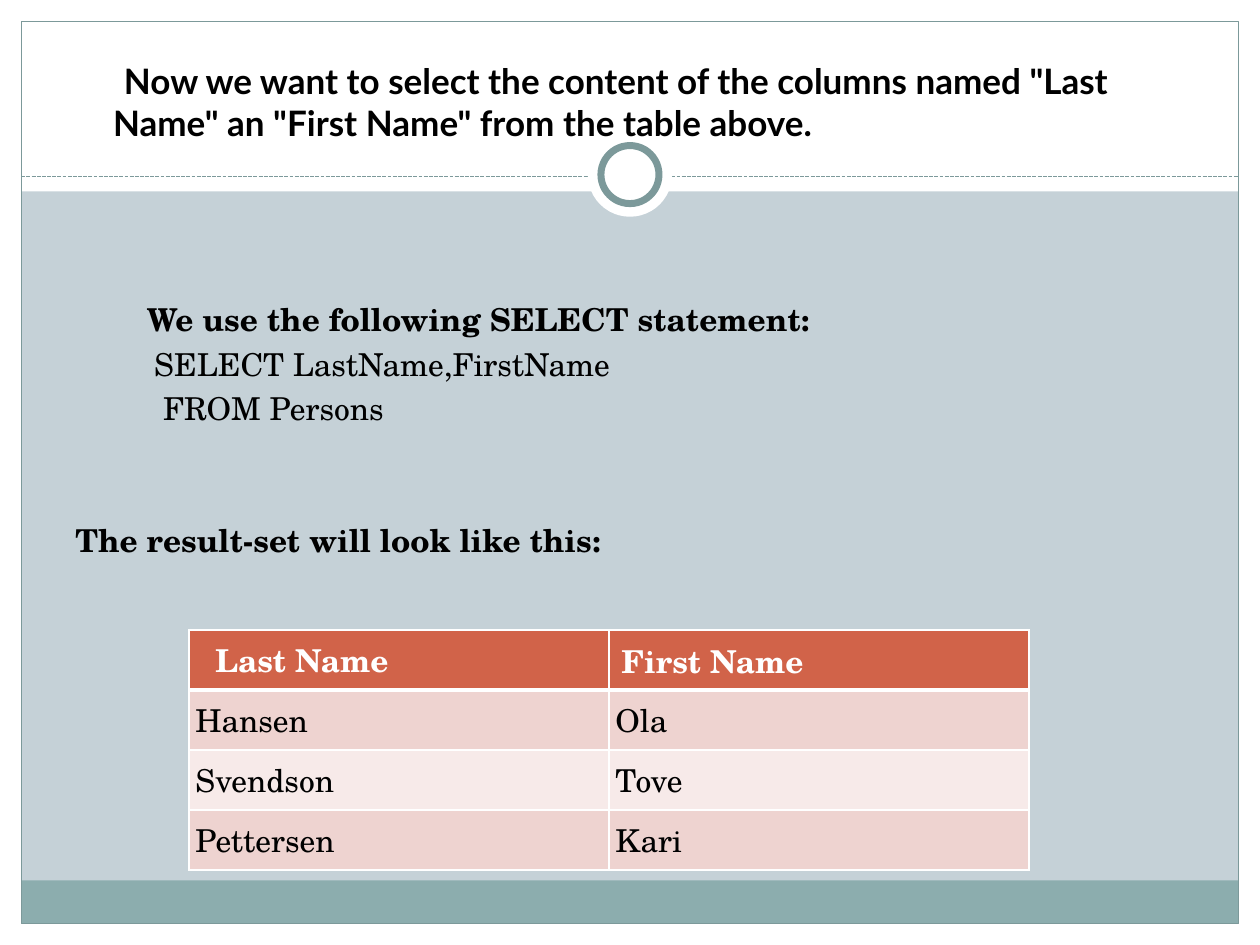
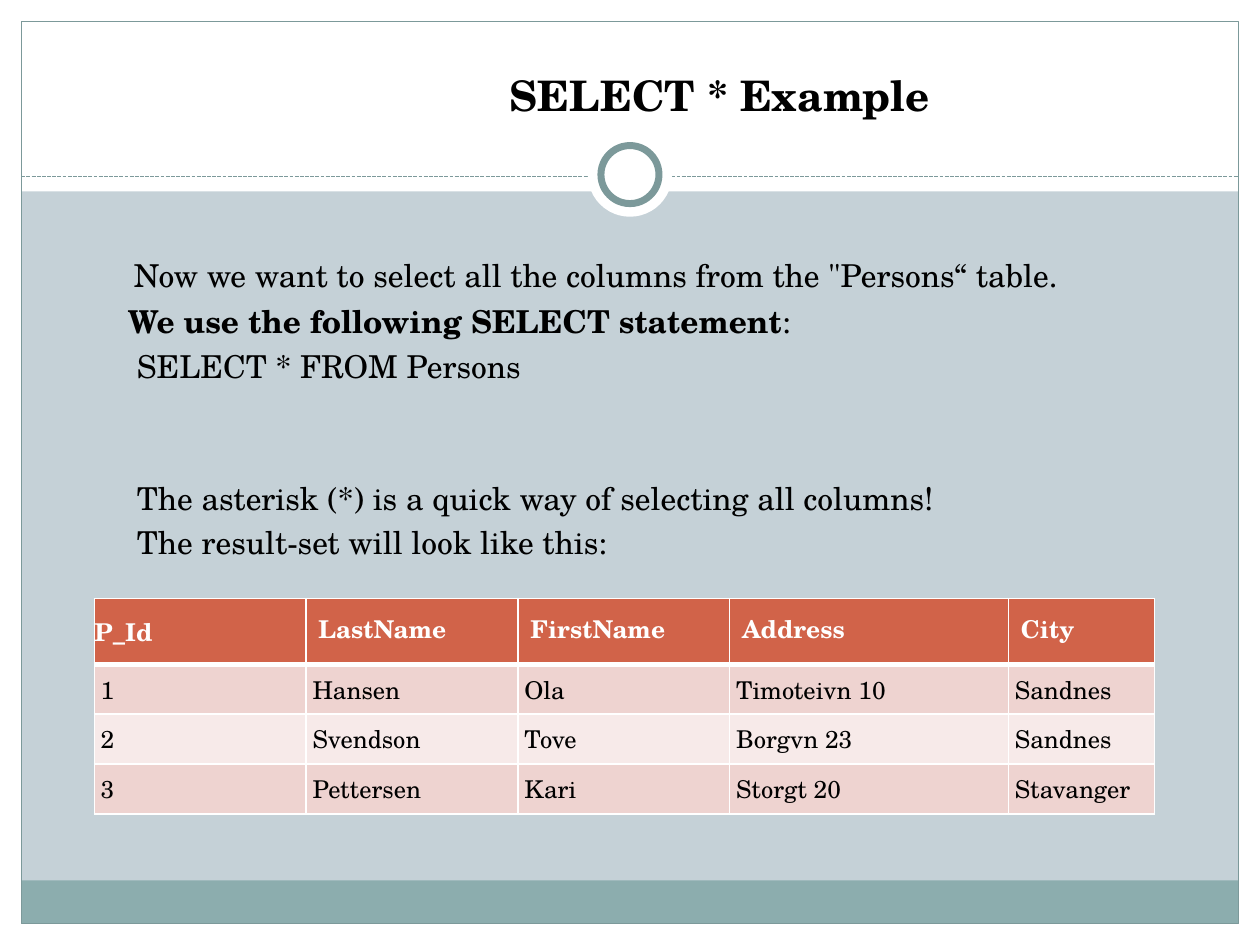
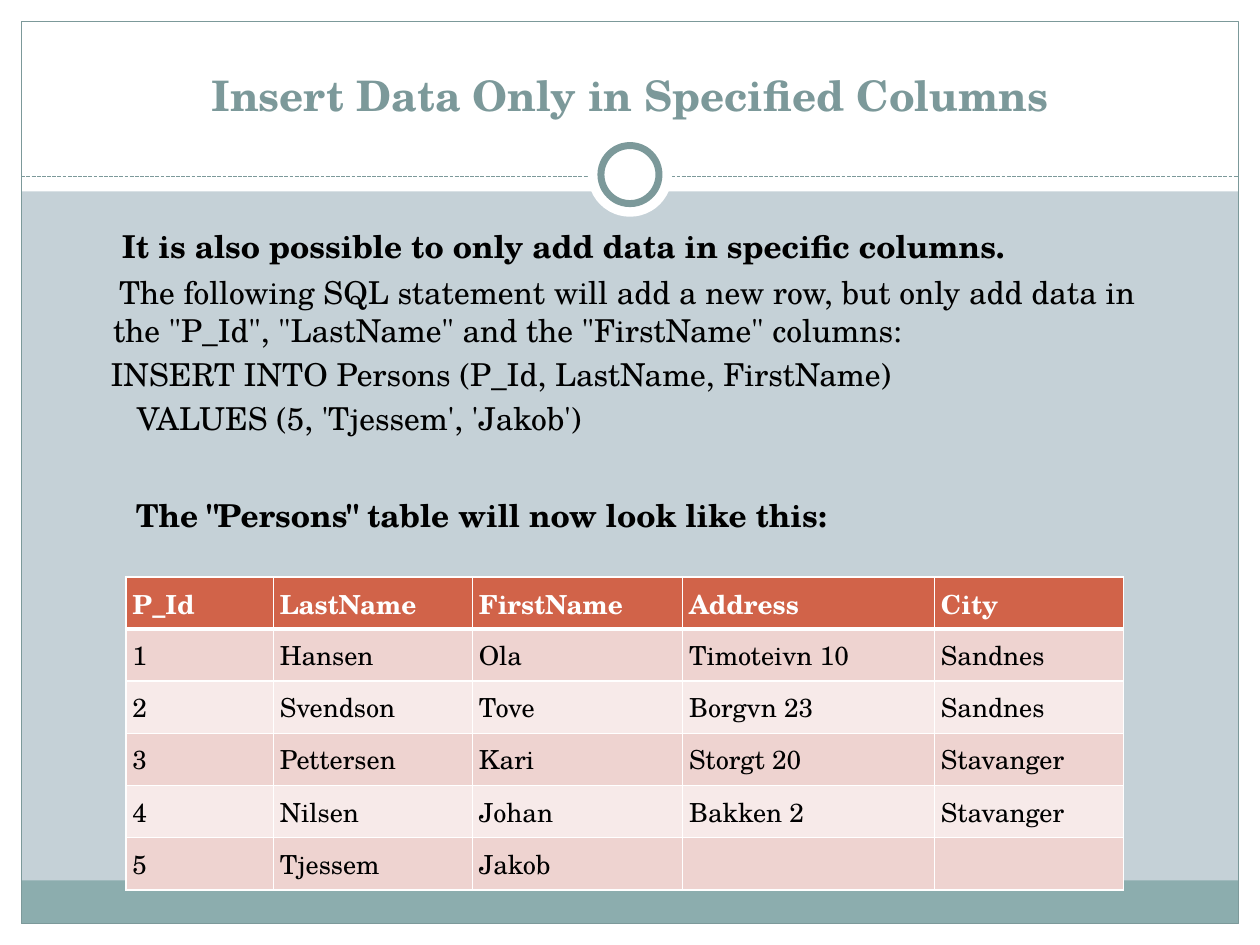
from dataclasses import dataclass

from lxml import etree
from pptx import Presentation
from pptx.dml.color import RGBColor
from pptx.enum.dml import MSO_LINE
from pptx.enum.shapes import MSO_CONNECTOR, MSO_SHAPE
from pptx.enum.text import MSO_ANCHOR, PP_ALIGN
from pptx.oxml.ns import qn
from pptx.util import Cm, Pt

RECT, OVAL = MSO_SHAPE.RECTANGLE, MSO_SHAPE.OVAL
STRAIGHT, DASH = MSO_CONNECTOR.STRAIGHT, MSO_LINE.SQUARE_DOT
TOP, MIDDLE = MSO_ANCHOR.TOP, MSO_ANCHOR.MIDDLE
LEFT, CENTER = PP_ALIGN.LEFT, PP_ALIGN.CENTER


@dataclass(frozen=True)
class Theme:
    paper: str = "C5D1D7"
    white: str = "FFFFFF"
    ink: str = "000000"
    accent: str = "7C999A"
    footer: str = "8CADAE"
    header_row: str = "D16349"
    odd_row: str = "EED3D0"
    even_row: str = "F7EAE9"
    serif: str = "TeX Gyre Schola"
    sans: str = "Lato"
    title_size: float = 24
    lead_size: float = 20
    body_size: float = 18
    hairline: float = 0.75
    ring_line: float = 4
    grid_line: float = 1
    header_line: float = 3


@dataclass(frozen=True)
class Box:
    """A region in centimetres."""
    left: float
    top: float
    width: float
    height: float


@dataclass(frozen=True)
class Line:
    """A paragraph: (text, bold) runs, indents in cm, space before in points."""
    runs: tuple
    first: float = 0
    rest: float = 0.76
    gap: float = 3.6


@dataclass(frozen=True)
class HeaderCell:
    left: float = 0.13
    top: float = 0.13
    anchor: int = MIDDLE


THEME = Theme()
PAGE = Box(0, 0, 25.4, 19.05)
MARGIN = 0.43
TEXT_LEFT, TEXT_WIDTH = 1.52, 22.36
CELL_INSET = 0.13

COLUMNS = ("P_Id", "LastName", "FirstName", "Address", "City")
PERSONS = (
    ("1", "Hansen", "Ola", "Timoteivn 10", "Sandnes"),
    ("2", "Svendson", "Tove", "Borgvn 23", "Sandnes"),
    ("3", "Pettersen", "Kari", "Storgt 20", "Stavanger"),
    ("4", "Nilsen", "Johan", "Bakken 2", "Stavanger"),
    ("5", "Tjessem", "Jakob", "", ""),
)


def rgb(code):
    return RGBColor.from_string(code)


def add_run(paragraph, text, size, color=THEME.ink, bold=False, face=THEME.serif):
    run = paragraph.add_run()
    run.text = text
    run.font.name, run.font.size, run.font.bold = face, Pt(size), bold
    run.font.color.rgb = rgb(color)


def add_panel(slide, kind, box, fill=None, line=None, weight=THEME.hairline):
    panel = slide.shapes.add_shape(
        kind, Cm(box.left), Cm(box.top), Cm(box.width), Cm(box.height))
    panel.shadow.inherit = False
    if fill:
        panel.fill.solid()
        panel.fill.fore_color.rgb = rgb(fill)
    else:
        panel.fill.background()
    if line:
        panel.line.color.rgb = rgb(line)
        panel.line.width = Pt(weight)
    else:
        panel.line.fill.background()


def add_divider(slide, box, y):
    divider = slide.shapes.add_connector(
        STRAIGHT, Cm(box.left), Cm(y), Cm(box.left + box.width), Cm(y))
    divider.line.color.rgb = rgb(THEME.accent)
    divider.line.width = Pt(THEME.hairline)
    divider.line.dash_style = DASH
    etree.SubElement(divider._element.spPr, qn("a:effectLst"))


def add_frame(slide, page):
    """White margins, title band, footer band, border and ring."""
    inner = Box(page.left + MARGIN, page.top + MARGIN,
                page.width - 2 * MARGIN, page.height - 2 * MARGIN)
    right, bottom = inner.left + inner.width, inner.top + inner.height
    for margin in (Box(page.left, bottom, page.width, MARGIN),
                   Box(page.left, page.top, page.width, 3.86),
                   Box(page.left, page.top, MARGIN, page.height),
                   Box(right, page.top, MARGIN, page.height)):
        add_panel(slide, RECT, margin, THEME.white)
    add_panel(slide, RECT, Box(inner.left, bottom - 0.87, inner.width, 0.87), THEME.footer)
    add_panel(slide, RECT, inner, line=THEME.accent)
    add_divider(slide, inner, page.top + 3.56)
    for size, line in ((1.7, None), (1.17, THEME.accent)):
        ring = Box(page.left + (page.width - size) / 2, page.top + 3.52 - size / 2, size, size)
        add_panel(slide, OVAL, ring, THEME.white, line, THEME.ring_line)


def add_text(slide, box, lines, size=THEME.body_size, color=THEME.ink,
             face=THEME.serif, align=LEFT):
    text_box = slide.shapes.add_textbox(
        Cm(box.left), Cm(box.top), Cm(box.width), Cm(box.height))
    frame = text_box.text_frame
    frame.word_wrap = True
    frame.margin_left = frame.margin_right = frame.margin_top = frame.margin_bottom = 0
    for index, line in enumerate(lines):
        paragraph = frame.paragraphs[0] if index == 0 else frame.add_paragraph()
        paragraph.alignment = align
        paragraph.space_before = Pt(line.gap if index else 0)
        properties = paragraph._p.get_or_add_pPr()
        properties.set("marL", str(Cm(line.rest)))
        properties.set("indent", str(Cm(line.first - line.rest)))
        for text, bold in line.runs:
            add_run(paragraph, text, size, color, bold, face)


def add_title(slide, text, top=1.4, first=0, rest=0, **style):
    style = {"size": THEME.title_size, **style}
    add_text(slide, Box(TEXT_LEFT, top, TEXT_WIDTH, 1.9),
             [Line(((text, True),), first, rest)], **style)


def add_body(slide, top, height, lines):
    add_text(slide, Box(TEXT_LEFT, top, TEXT_WIDTH, height), lines)


def set_borders(cell, **weights):
    """Draw white borders; weights maps the side tags to points."""
    properties = cell._tc.get_or_add_tcPr()
    for position, side in enumerate(("lnL", "lnR", "lnT", "lnB")):
        weight = weights.get(side, THEME.grid_line)
        border = etree.Element(qn(f"a:{side}"), w=str(Pt(weight)))
        fill = etree.SubElement(border, qn("a:solidFill"))
        etree.SubElement(fill, qn("a:srgbClr"), val=THEME.white)
        properties.insert(position, border)


def fill_cell(cell, text, size, fill, color, bold=False, layout=HeaderCell()):
    cell.fill.solid()
    cell.fill.fore_color.rgb = rgb(fill)
    cell.vertical_anchor = layout.anchor
    cell.margin_left, cell.margin_top = Cm(layout.left), Cm(layout.top)
    cell.margin_right = Cm(CELL_INSET)
    cell.margin_bottom = Cm(layout.top if layout.anchor == MIDDLE else CELL_INSET)
    if text:
        add_run(cell.text_frame.paragraphs[0], text, size, color, bold)


def add_result_table(slide, box, header, rows, shares, size, header_height, header_cells):
    table = slide.shapes.add_table(
        len(rows) + 1, len(header), Cm(box.left), Cm(box.top),
        Cm(box.width), Cm(box.height)).table
    table.horz_banding = table.first_row = False
    for column, share in zip(table.columns, shares):
        column.width = Cm(box.width * share / sum(shares))
    for row in table.rows:
        row.height = Cm((box.height - header_height) / len(rows))
    table.rows[0].height = Cm(header_height)

    for index, (text, layout) in enumerate(zip(header, header_cells)):
        cell = table.cell(0, index)
        fill_cell(cell, text, size, THEME.header_row, THEME.white, True, layout)
        set_borders(cell, lnB=THEME.header_line)
    for number, row in enumerate(rows, start=1):
        fill = THEME.odd_row if number % 2 else THEME.even_row
        for index, text in enumerate(row):
            cell = table.cell(number, index)
            fill_cell(cell, text, size, fill, THEME.ink)
            set_borders(cell, lnT=THEME.header_line if number == 1 else THEME.grid_line)


def build_select_columns(slide):
    add_title(slide, 'Now we want to select the content of the columns named "Last Name" '
              'an "First Name" from the table above.',
              top=1.2, first=0.98, rest=0.76, size=THEME.lead_size, face=THEME.sans)
    add_body(slide, 6.05, 5.6, [
        Line((("We use the following SELECT statement:", True),), 1.44),
        Line((("SELECT LastName,FirstName", False),), 1.59, gap=4),
        Line((("FROM Persons", False),), 1.77),
        Line((("The result-set will look like this:", True),), gap=54),
    ])
    add_result_table(
        slide, Box(3.81, 12.7, 16.93, 4.84), ("Last Name", "First Name"),
        [person[1:3] for person in PERSONS[:3]], (1, 1), THEME.body_size, 1.21,
        (HeaderCell(left=0.53, top=0), HeaderCell(left=0.25)))


def build_select_all(slide):
    add_title(slide, "SELECT * Example", first=8.76)
    add_body(slide, 5.16, 6.5, [
        Line((('Now we want to select all the columns from the "Persons“ table.', False),), 1.18),
        Line((("We use the following SELECT statement", True), (":", False)), 1.06, gap=5),
        Line((("SELECT * FROM Persons", False),), 1.24),
        Line((("The asterisk (*) is a quick way of selecting all columns!", False),), 1.24, gap=54),
        Line((("The result-set will look like this:", False),), 1.24),
    ])
    raised = HeaderCell(left=0.25, top=0.22, anchor=TOP)
    add_result_table(
        slide, Box(1.9, 12.07, 21.38, 4.34), COLUMNS, PERSONS[:3],
        (1.68, 1.68, 1.68, 2.21, 1.16), 14, 1.32,
        [HeaderCell(left=0, top=0)] + [raised] * 4)


def build_insert_columns(slide):
    add_title(slide, "Insert Data Only in Specified Columns", color=THEME.accent, align=CENTER)
    add_body(slide, 4.57, 6.6, [
        Line((("It is also possible to only add data in specific columns.", True),), 0.94),
        Line((('The following SQL statement will add a new row, but only add data in '
               'the "P_Id", "LastName" and the "FirstName" columns:', False),), 0.88, gap=5),
        Line((("INSERT INTO Persons (P_Id, LastName, FirstName)", False),), 0.71),
        Line((("VALUES (5, 'Tjessem', 'Jakob')", False),), 1.24),
        Line((('The "Persons" table will now look like this:', True),), 1.22, gap=34),
    ])
    add_result_table(
        slide, Box(2.54, 11.63, 20.11, 6.31), COLUMNS, PERSONS,
        (1.17, 1.58, 1.67, 2, 1.5), 15, 1.05, [HeaderCell()] * 5)


def main():
    deck = Presentation()
    deck.slide_width, deck.slide_height = Cm(PAGE.width), Cm(PAGE.height)
    blank = deck.slide_layouts[6]
    for build in (build_select_columns, build_select_all, build_insert_columns):
        slide = deck.slides.add_slide(blank)
        slide.background.fill.solid()
        slide.background.fill.fore_color.rgb = rgb(THEME.paper)
        add_frame(slide, PAGE)
        build(slide)
    deck.save("out.pptx")


if __name__ == "__main__":
    main()
